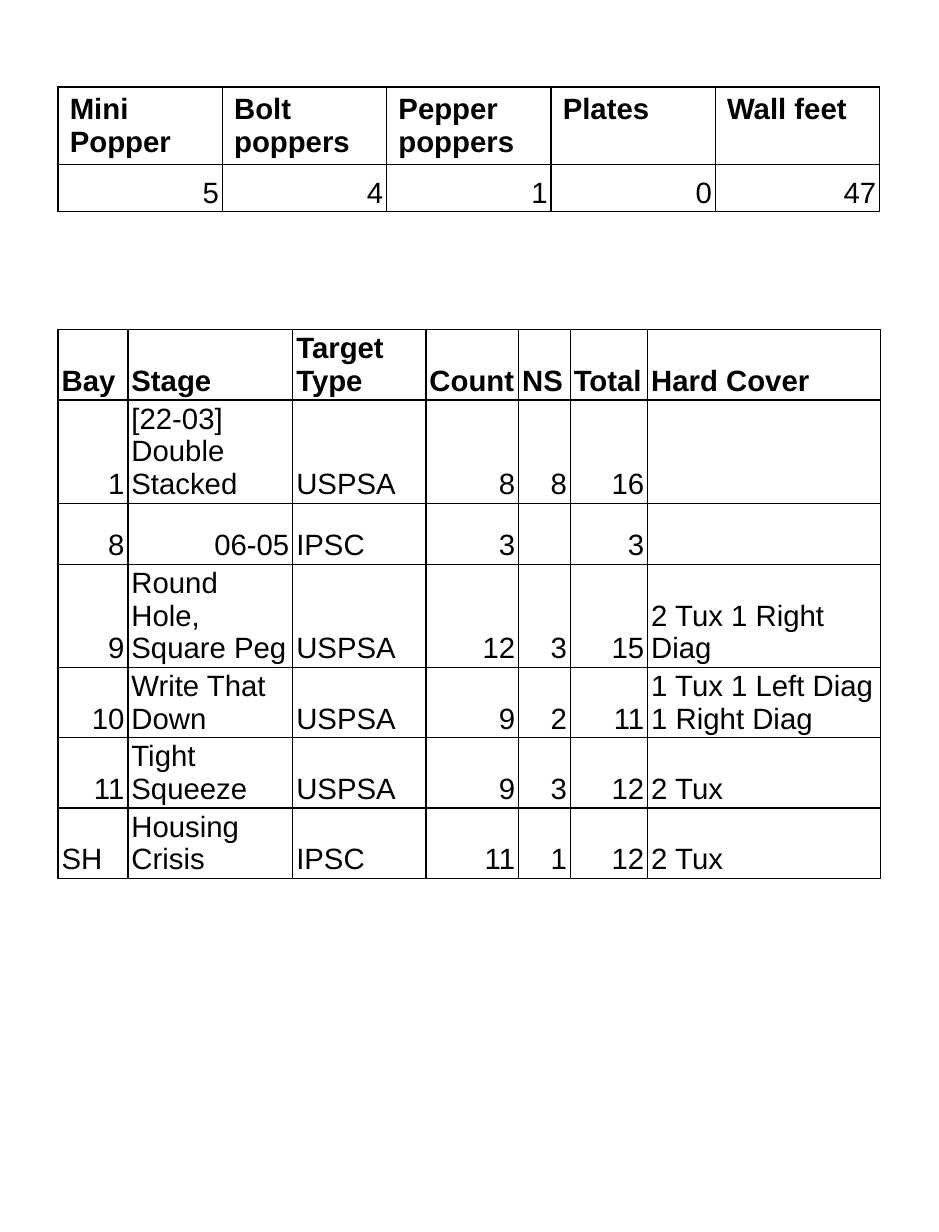
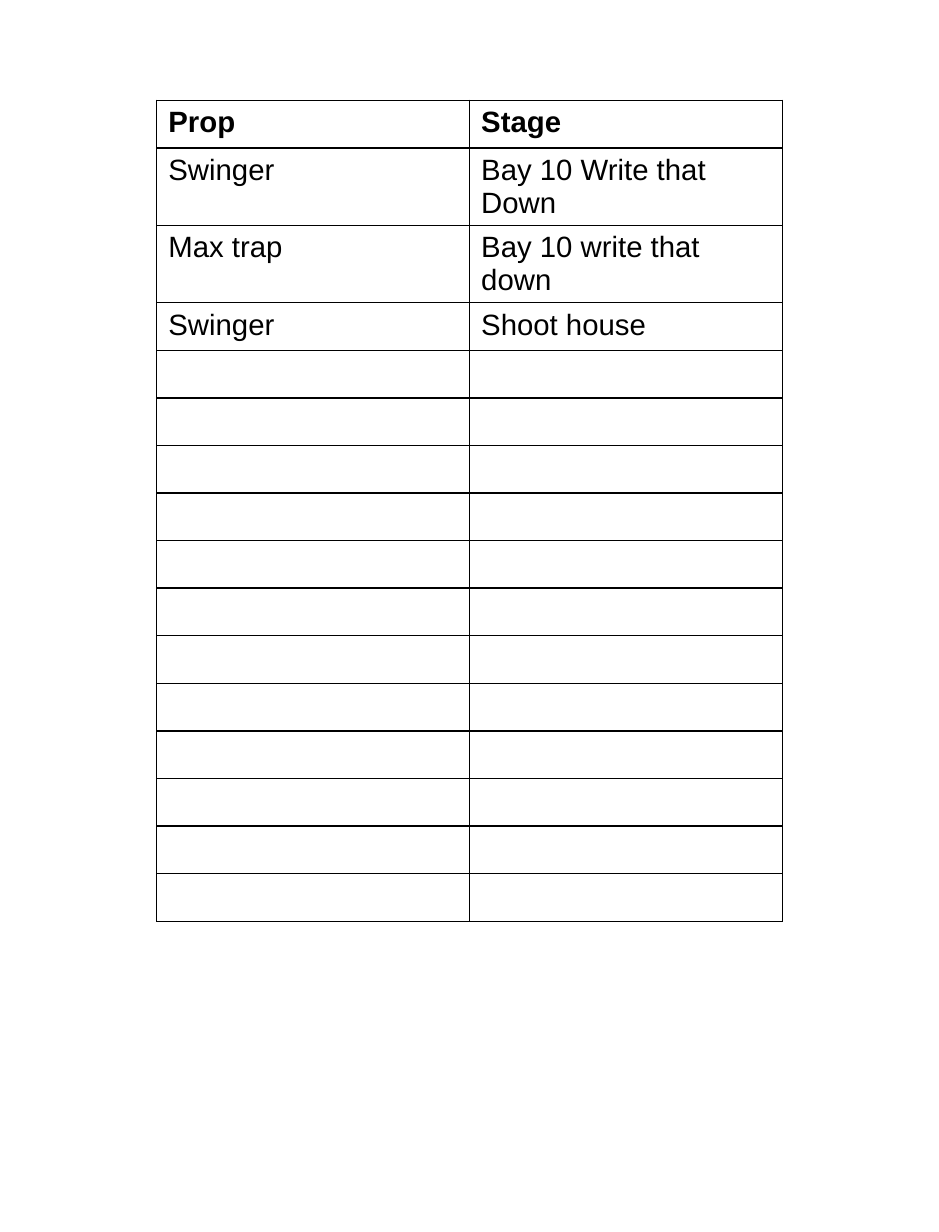
import dataclasses

import lxml.etree
import pptx
import pptx.dml.color
import pptx.enum.text
import pptx.oxml.ns
import pptx.util

PX = 4572


@dataclasses.dataclass(frozen=True)
class Theme:
    """Colours, type and line sizes shared by both slides."""

    ink: str = "000000"
    paper: str = "FFFFFF"
    font: str = "Arial"
    text_pt: int = 18
    border_pt: int = 1


THEME = Theme()
TIGHT = {
    "margin_left": 6 * PX,
    "margin_right": 6 * PX,
    "margin_top": 4 * PX,
    "margin_bottom": 4 * PX,
    "vertical_anchor": pptx.enum.text.MSO_ANCHOR.BOTTOM,
}
STEEL = [
    ["Mini Popper", "Bolt poppers", "Pepper poppers", "Plates", "Wall feet"],
    ["5", "4", "1", "0", "47"],
]
TARGETS = [
    ["Bay", "Stage", "Target Type", "Count", "NS", "Total", "Hard Cover"],
    ["1", "[22-03] Double Stacked", "USPSA", "8", "8", "16", ""],
    ["8", "06-05", "IPSC", "3", "", "3", ""],
    ["9", "Round Hole, Square Peg", "USPSA", "12", "3", "15", "2 Tux 1 Right Diag"],
    ["10", "Write That Down", "USPSA", "9", "2", "11", "1 Tux 1 Left Diag 1 Right Diag"],
    ["11", "Tight Squeeze", "USPSA", "9", "3", "12", "2 Tux"],
    ["SH", "Housing Crisis", "IPSC", "11", "1", "12", "2 Tux"],
]
PROPS = [
    ["Prop", "Stage"],
    ["Swinger", "Bay 10 Write that Down"],
    ["Max trap", "Bay 10 write that down"],
    ["Swinger", "Shoot house"],
]
BLANK_PROP_ROWS = 12


def draw_borders(cell):
    """Rule all four sides of a cell."""
    properties = cell._tc.get_or_add_tcPr()
    qn = pptx.oxml.ns.qn
    for side in ("a:lnL", "a:lnR", "a:lnT", "a:lnB"):
        rule = lxml.etree.SubElement(
            properties, qn(side), w=str(pptx.util.Pt(THEME.border_pt))
        )
        ink = lxml.etree.SubElement(rule, qn("a:solidFill"))
        lxml.etree.SubElement(ink, qn("a:srgbClr"), val=THEME.ink)


def write_cell(cell, words, bold, tight):
    """Fill one cell, setting figures to the right."""
    draw_borders(cell)
    cell.fill.solid()
    cell.fill.fore_color.rgb = pptx.dml.color.RGBColor.from_string(THEME.paper)
    for name, value in (TIGHT if tight else {}).items():
        setattr(cell, name, value)
    if not words:
        return
    line = cell.text_frame.paragraphs[0]
    if words.replace("-", "").isdigit():
        line.alignment = pptx.enum.text.PP_ALIGN.RIGHT
    run = line.add_run()
    run.text = words
    font_format = {
        "name": THEME.font,
        "size": pptx.util.Pt(THEME.text_pt),
        "bold": bold,
    }
    for name, value in font_format.items():
        setattr(run.font, name, value)
    run.font.color.rgb = pptx.dml.color.RGBColor.from_string(THEME.ink)


def add_grid(slide, box, widths, row_height, content, tight_from):
    """Place a ruled table whose rows are compact from tight_from onwards."""
    left, top, width, height = (length * PX for length in box)
    frame = slide.shapes.add_table(
        len(content), len(widths), left, top, width, height
    )
    grid = frame.table
    grid.first_row = grid.horz_banding = False
    for column, column_width in zip(grid.columns, widths):
        column.width = column_width * PX
    for index, (row, words) in enumerate(zip(grid.rows, content)):
        row.height = row_height * PX
        for cell, entry in zip(row.cells, words):
            write_cell(cell, entry, index == 0, index >= tight_from)
    frame.width, frame.height = width, height


def build_target_slide(slide, box):
    """Steel totals above the paper targets needed in each bay."""
    left, top, width, _ = box
    add_grid(slide, (left, top, width, 222), [280] * 5, 81, STEEL, 1)
    add_grid(
        slide,
        (left, top + 414, width, 992),
        [119, 281, 227, 158, 88, 132, 397],
        104,
        TARGETS,
        0,
    )


def build_prop_slide(slide, box):
    """Props by stage, with blank rows to fill in."""
    content = PROPS + [[""] * 2] * BLANK_PROP_ROWS
    add_grid(slide, box, [533] * 2, 81, content, len(content))


def main():
    """Build and save both slides."""
    deck = pptx.Presentation()
    deck.slide_width, deck.slide_height = 1600 * PX, 2100 * PX
    pages = [
        (build_target_slide, (99, 148, 1402, 1406)),
        (build_prop_slide, (267, 171, 1066, 1416)),
    ]
    for build, box in pages:
        build(deck.slides.add_slide(deck.slide_layouts[6]), box)
    deck.save("out.pptx")


if __name__ == "__main__":
    main()
